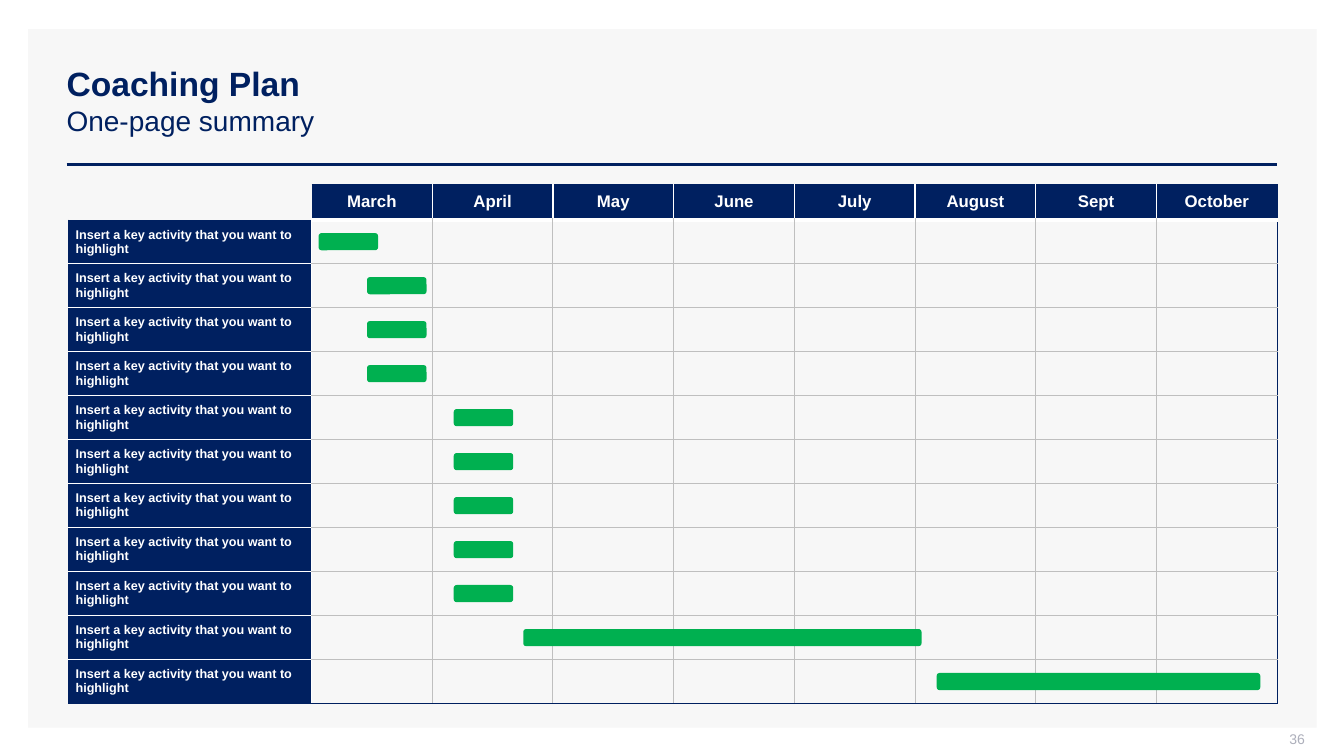
from lxml.etree import SubElement
from pptx import Presentation
from pptx.dml.color import RGBColor
from pptx.enum.shapes import MSO_CONNECTOR, MSO_SHAPE
from pptx.enum.text import MSO_ANCHOR, PP_ALIGN
from pptx.oxml.ns import qn
from pptx.util import Inches, Pt

NAVY, WHITE, GREY, GREEN = "002060", "FFFFFF", "BFBFBF", "00B050"
PANEL, PALE = "F7F7F7", "ADAFBB"

HEADING = [("Coaching Plan", 24, True), ("One-page summary", 20, False)]
PAGE = "36"
MONTHS = ["March", "April", "May", "June", "July", "August", "Sept", "October"]
TASK = "Insert a key activity that you want to highlight"
BARS = [
    (3.16, 0.59),
    *[(3.64, 0.59)] * 3,
    *[(4.5, 0.59)] * 5,
    (5.19, 3.95),
    (9.29, 3.21),
]

LEFT, TOP = 0.68, 1.83
LABEL, SPAN = 2.41, 9.58
HEAD, BODY = 0.35, 4.8
THICK = 0.17
ROWS, COLS = len(BARS), len(MONTHS)
STEP = BODY / ROWS

EDGE, GRID = (NAVY, 0.75), (GREY, 0.75)
THIN, BOLD = (WHITE, 1), (WHITE, 3)


def tint(code):
    return RGBColor.from_string(code)


def put(item, **values):
    for name, value in values.items():
        setattr(item, name, value)


def style(font, size, color, bold=False):
    put(font, name="Arial", size=Pt(size), bold=bold)
    font.color.rgb = tint(color)


def block(kind, box, color):
    shape = slide.shapes.add_shape(kind, *map(Inches, box))
    shape.shadow.inherit = False
    shape.fill.solid()
    shape.fill.fore_color.rgb = tint(color)
    shape.line.fill.background()
    return shape


def level(line, col):
    if line == 0:
        return EDGE if col else None
    if line == 1:
        return BOLD if col else None
    if line > ROWS:
        return EDGE
    return GRID if col else THIN


def upright(row, line):
    if line == 0:
        return EDGE if row else None
    if line > COLS:
        return EDGE
    if line == 1:
        return THIN if row else None
    return GRID if row else THIN


def frame(cell, row, col):
    sides = {
        "lnL": upright(row, col),
        "lnR": upright(row, col + 1),
        "lnT": level(row, col),
        "lnB": level(row + 1, col),
    }
    props = cell._tc.get_or_add_tcPr()
    for tag, rule in sides.items():
        side = SubElement(props, qn(f"a:{tag}"))
        if rule:
            color, width = rule
            side.set("w", str(int(Pt(width))))
            fill = SubElement(side, qn("a:solidFill"))
            SubElement(fill, qn("a:srgbClr")).set("val", color)
        else:
            SubElement(side, qn("a:noFill"))


def write(cell, row, col):
    put(cell, margin_left=Inches(0.07), margin_right=Inches(0.07),
        margin_top=0, margin_bottom=0, vertical_anchor=MSO_ANCHOR.MIDDLE)
    frame(cell, row, col)
    if (row == 0) == (col == 0):
        cell.fill.background()
        return
    cell.fill.solid()
    cell.fill.fore_color.rgb = tint(NAVY)
    cell.text = TASK if row else MONTHS[col - 1]
    para = cell.text_frame.paragraphs[0]
    para.alignment = PP_ALIGN.LEFT if row else PP_ALIGN.CENTER
    style(para.runs[0].font, 9 if row else 12, WHITE, True)


deck = Presentation()
put(deck, slide_width=Inches(13.33), slide_height=Inches(7.5))
slide = deck.slides.add_slide(deck.slide_layouts[5])

panel = block(MSO_SHAPE.RECTANGLE, (0.28, 0.29, 12.78, 6.93), PANEL)
slide.shapes._spTree.insert(2, panel._element)

rule = slide.shapes.add_connector(
    MSO_CONNECTOR.STRAIGHT, *map(Inches, (0.66, 1.63, 12.67, 1.63)))
rule.line.color.rgb = tint(NAVY)
rule.line.width = Pt(2)
SubElement(rule._element.spPr, qn("a:effectLst"))

title = slide.shapes.title
put(title, left=Inches(0.56), top=Inches(0.4),
    width=Inches(12.11), height=Inches(1.19))
title.text_frame.vertical_anchor = MSO_ANCHOR.MIDDLE
para = title.text_frame.paragraphs[0]
para.alignment = PP_ALIGN.LEFT
for place, (text, size, bold) in enumerate(HEADING):
    if place:
        para.add_line_break()
    run = para.add_run()
    run.text = text
    style(run.font, size, NAVY, bold)

note = slide.shapes.add_textbox(*map(Inches, (10.04, 7.25, 3, 0.21)))
put(note.text_frame, text=PAGE, word_wrap=True, margin_top=0,
    margin_bottom=Inches(0.05), vertical_anchor=MSO_ANCHOR.MIDDLE)
para = note.text_frame.paragraphs[0]
para.alignment = PP_ALIGN.RIGHT
style(para.runs[0].font, 10, PALE)

size = (LEFT, TOP, LABEL + SPAN, HEAD + BODY)
table = slide.shapes.add_table(ROWS + 1, COLS + 1, *map(Inches, size)).table
put(table, first_row=False, horz_banding=False)
for col, part in enumerate(table.columns):
    part.width = Inches(SPAN / COLS if col else LABEL)
for row, part in enumerate(table.rows):
    part.height = Inches(STEP if row else HEAD)
    for col, cell in enumerate(part.cells):
        write(cell, row, col)

for row, (start, width) in enumerate(BARS):
    top = TOP + HEAD + row * STEP + (STEP - THICK) / 2
    block(MSO_SHAPE.ROUNDED_RECTANGLE, (start, top, width, THICK), GREEN)

deck.save("out.pptx")
